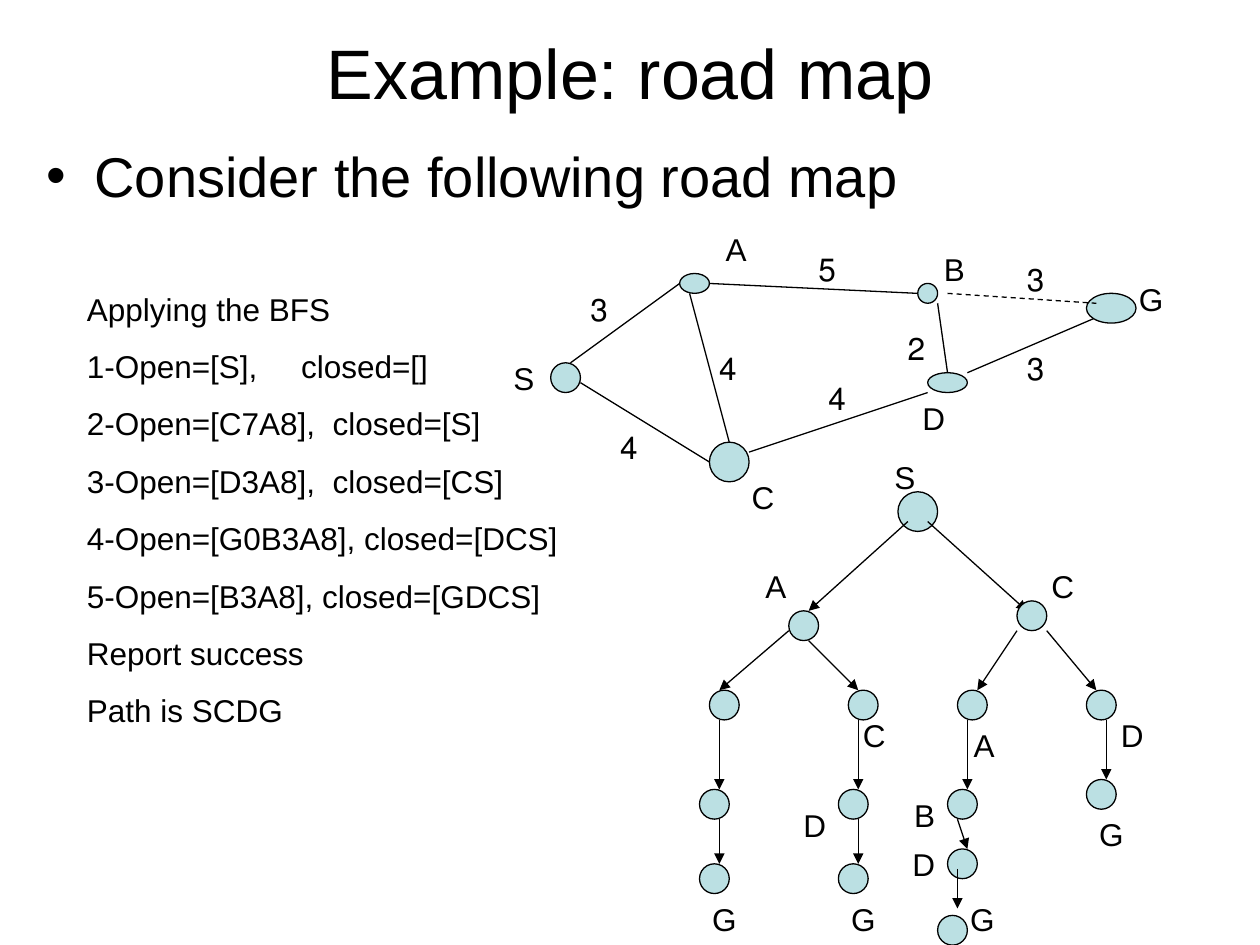
from lxml import etree
from pptx import Presentation
from pptx.dml.color import RGBColor
from pptx.enum.dml import MSO_LINE
from pptx.enum.shapes import MSO_CONNECTOR, MSO_SHAPE
from pptx.enum.text import MSO_ANCHOR, MSO_AUTO_SIZE, PP_ALIGN
from pptx.oxml.ns import qn
from pptx.util import Inches, Pt

BLACK = RGBColor(0x00, 0x00, 0x00)
PALE_TEAL = RGBColor(0xBB, 0xE0, 0xE3)
DASH = MSO_LINE.DASH
STRAIGHT = MSO_CONNECTOR.STRAIGHT
OVAL = MSO_SHAPE.OVAL
MIDDLE = MSO_ANCHOR.MIDDLE
LEFT, RIGHT, CENTER = PP_ALIGN.LEFT, PP_ALIGN.RIGHT, PP_ALIGN.CENTER
NO_FIT, GROW = MSO_AUTO_SIZE.NONE, MSO_AUTO_SIZE.SHAPE_TO_FIT_TEXT

# Drawing grid: 2 mm cells with a small offset from the slide corner
CELL = 2 / 25.4
ORIGIN_X, ORIGIN_Y = 0.04, 0.045


class RoadMapSlide:
    font_name = "Arial"
    line_width = Pt(0.74)
    label_size = 18

    def __init__(self, deck):
        self.slide = deck.slides.add_slide(deck.slide_layouts[1])

    def x(self, column):
        return Inches(ORIGIN_X + column * CELL)

    def y(self, row):
        return Inches(ORIGIN_Y + row * CELL)

    def size(self, cells):
        return Inches(cells * CELL)

    def style(self, paragraph, size, align, before):
        paragraph.font.name = self.font_name
        paragraph.font.size = Pt(size)
        paragraph.font.color.rgb = BLACK
        paragraph.alignment = align
        paragraph.space_before = Pt(before)

    def placeholder(self, index, text, box, size, align, before=0):
        holder = self.slide.placeholders[index]
        holder.left, holder.top, holder.width, holder.height = map(Inches, box)
        frame = holder.text_frame
        frame.text = text
        frame.auto_size = NO_FIT
        self.style(frame.paragraphs[0], size, align, before)
        return frame

    def bullet(self, paragraph, indent):
        properties = paragraph._p.get_or_add_pPr()
        properties.set("marL", str(Inches(indent)))
        properties.set("indent", str(-Inches(indent)))
        etree.SubElement(properties, qn("a:buChar")).set("char", "•")

    def text(self, lines, column, row, width, height, align=LEFT):
        """Each line is a (text, tab stop in inches or None) pair."""
        box = self.slide.shapes.add_textbox(
            self.x(column), self.y(row), self.size(width), self.size(height))
        frame = box.text_frame
        frame.word_wrap = True
        frame.auto_size = GROW
        for number, (words, stop) in enumerate(lines):
            paragraph = frame.add_paragraph() if number else frame.paragraphs[0]
            paragraph.text = words
            self.style(paragraph, self.label_size, align, 11.2)
            properties = paragraph._p.get_or_add_pPr()
            if align == RIGHT:
                properties.set("rtl", "1")
            if stop:
                tabs = etree.SubElement(properties, qn("a:tabLst"))
                tab = etree.SubElement(tabs, qn("a:tab"))
                tab.set("pos", str(Inches(stop)))
                tab.set("algn", "l")

    def label(self, name, column, row, width=8, align=RIGHT):
        self.text([(name, None)], column, row, width, 5, align)

    def node(self, column, row, width=3, height=3):
        oval = self.slide.shapes.add_shape(
            OVAL, self.x(column), self.y(row), self.size(width), self.size(height))
        oval.shadow.inherit = False
        oval.fill.solid()
        oval.fill.fore_color.rgb = PALE_TEAL
        oval.line.color.rgb = BLACK
        oval.line.width = self.line_width

    def road(self, x1, y1, x2, y2, arrow=False, dash=None):
        line = self.slide.shapes.add_connector(
            STRAIGHT, self.x(x1), self.y(y1), self.x(x2), self.y(y2))
        line.line.color.rgb = BLACK
        line.line.width = self.line_width
        if dash:
            line.line.dash_style = dash
        if arrow:
            outline = line.line._get_or_add_ln()
            etree.SubElement(outline, qn("a:tailEnd")).set("type", "triangle")
        etree.SubElement(line._element.spPr, qn("a:effectLst"))


deck = Presentation()
deck.slide_width, deck.slide_height = Inches(10), Inches(7.5)
page = RoadMapSlide(deck)

# Title and lead sentence
title = page.placeholder(0, "Example: road map", (0.5, 0.3, 9, 0.54), 40, CENTER)
title.vertical_anchor = MIDDLE
lead = page.placeholder(1, "Consider the following road map",
                        (0.27, 1.07, 9, 0.71), 32, LEFT, before=8)
page.bullet(lead.paragraphs[0], 0.38)

# Road map: roads, towns, then the dashed road on top
for road in [(57, 36, 68, 28), (71, 28, 92, 29), (58, 38, 71, 46),
             (69, 29, 73, 44), (75, 45, 93, 39), (94, 30, 95, 37),
             (97, 37, 111, 31)]:
    page.road(*road)
for town in [(55, 36, 3, 3), (68, 27, 3, 2), (93, 37, 4, 2),
             (92, 28, 2, 2), (109, 29, 5, 3), (71, 44, 4, 4)]:
    page.node(*town)
page.road(95, 29, 110, 30, dash=DASH)

# Town names and road lengths
page.label("S", 50, 35, 7, LEFT)
page.label("C", 74, 47, align=LEFT)
for name, column, row in [("A", 68, 22), ("B", 90, 24), ("D", 88, 39),
                          ("G", 110, 27)]:
    page.label(name, column, row)
for length, column, row in [("3", 57, 28), ("4", 60, 42), ("4", 81, 37),
                            ("5", 80, 24), ("2", 89, 32), ("3", 101, 34),
                            ("3", 101, 25), ("4", 70, 34)]:
    page.label(length, column, row, 5)

# Search trace
page.text([("Applying the BFS", None),
           ("1-Open=[S],\tclosed=[]", 1.7),
           ("2-Open=[C7A8],\tclosed=[S]", 1.95),
           ("3-Open=[D3A8],\tclosed=[CS]", 1.95),
           ("4-Open=[G0B3A8], closed=[DCS]", None),
           ("5-Open=[B3A8], closed=[GDCS]", None),
           ("Report success", None),
           ("Path is SCDG", None)], 7, 28, 54, 51.5)

# Search tree: root, branches, nodes, then the last branch on top
page.node(90, 49, 4, 4)
for branch in [(91, 52, 81, 61), (93, 52, 103, 61),
               (79, 63, 72, 69), (81, 64, 86, 69),
               (102, 63, 98, 69), (105, 63, 110, 69),
               (72, 72, 72, 79), (86, 72, 86, 79),
               (97, 72, 97, 79), (111, 72, 111, 78),
               (72, 82, 72, 86.5), (86, 82, 86, 86.5), (96, 82, 97, 85)]:
    page.road(*branch, arrow=True)
for column, row in [(79, 61), (102, 60),
                    (71, 69), (85, 69), (96, 69), (109, 69),
                    (70, 79), (84, 79), (95, 79), (109, 78),
                    (70, 86.5), (84, 86.5), (95, 85), (94, 91.7)]:
    page.node(column, row)
page.road(96, 87, 96, 91, arrow=True)

# Tree labels
for name, column, row in [("S", 85, 45), ("A", 72, 56), ("C", 101, 56),
                          ("C", 82, 71), ("A", 93, 72), ("D", 108, 71),
                          ("D", 76, 80), ("B", 87, 79), ("G", 106, 81),
                          ("D", 87, 84), ("G", 67, 89.5), ("G", 81, 89.5),
                          ("G", 93, 89.5)]:
    page.label(name, column, row)

deck.save("out.pptx")
